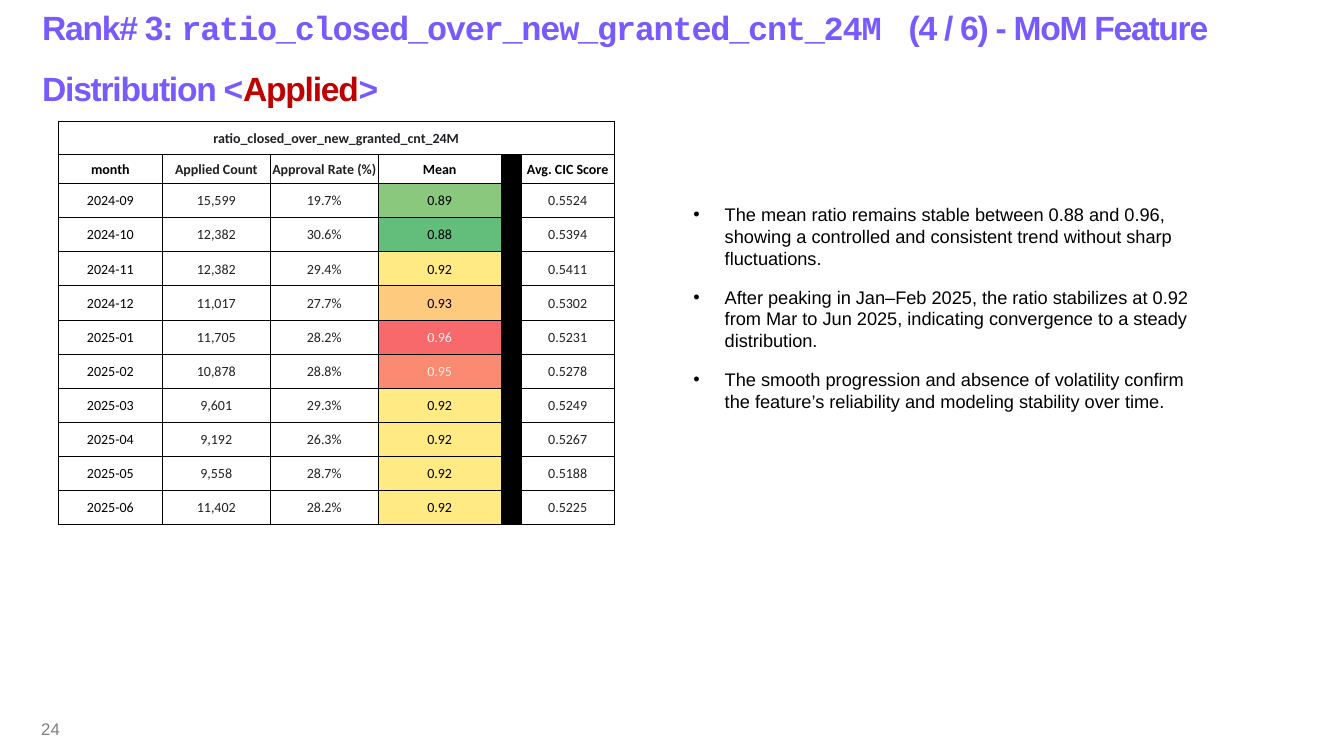
import pptx
import pptx.dml.color
import pptx.enum.text
import pptx.oxml
import pptx.oxml.ns
import pptx.util
from lxml import etree
from pptx.dml.color import RGBColor
from pptx.util import Cm

PURPLE = RGBColor(0x78, 0x5A, 0xFF)
RED = RGBColor(0xC0, 0x00, 0x00)
GREY = RGBColor(0x80, 0x80, 0x80)
BLACK = RGBColor(0x00, 0x00, 0x00)
CHARCOAL = RGBColor(0x20, 0x21, 0x24)
WHITE = RGBColor(0xFF, 0xFF, 0xFF)
PALE = RGBColor(0xF1, 0xF1, 0xF1)
MEAN_FILLS = {
    "0.88": RGBColor(0x63, 0xBE, 0x7B),
    "0.89": RGBColor(0x8A, 0xC9, 0x7D),
    "0.92": RGBColor(0xFF, 0xEA, 0x84),
    "0.93": RGBColor(0xFD, 0xCA, 0x7E),
    "0.95": RGBColor(0xFA, 0x8A, 0x71),
    "0.96": RGBColor(0xF8, 0x69, 0x6B),
}
PALE_TEXT_MEANS = ("0.95", "0.96")

FEATURE = "ratio_closed_over_new_granted_cnt_24M"
TITLE_RUNS = [
    ("Rank# 3: ", "Arial", PURPLE),
    (FEATURE + " ", "Courier New", PURPLE),
    (" (4 / 6) - MoM Feature Distribution <", "Arial", PURPLE),
    ("Applied", "Arial", RED),
    (">", "Arial", PURPLE),
]
HEADERS = ["month", "Applied Count", "Approval Rate (%)", "Mean", "", "Avg. CIC Score"]
MONTHS = [
    ("2024-09", "15,599", "19.7%", "0.89", "", "0.5524"),
    ("2024-10", "12,382", "30.6%", "0.88", "", "0.5394"),
    ("2024-11", "12,382", "29.4%", "0.92", "", "0.5411"),
    ("2024-12", "11,017", "27.7%", "0.93", "", "0.5302"),
    ("2025-01", "11,705", "28.2%", "0.96", "", "0.5231"),
    ("2025-02", "10,878", "28.8%", "0.95", "", "0.5278"),
    ("2025-03", "9,601", "29.3%", "0.92", "", "0.5249"),
    ("2025-04", "9,192", "26.3%", "0.92", "", "0.5267"),
    ("2025-05", "9,558", "28.7%", "0.92", "", "0.5188"),
    ("2025-06", "11,402", "28.2%", "0.92", "", "0.5225"),
]
COLUMN_WIDTHS = [2.62, 2.72, 2.72, 3.1, 0.51, 2.33]
ROW_HEIGHTS = [0.84, 0.72] + [0.86] * len(MONTHS)
MEAN_COLUMN, GAP_COLUMN, SCORE_COLUMN = 3, 4, 5
FINDINGS = [
    "The mean ratio remains stable between 0.88 and 0.96, showing a controlled "
    "and consistent trend without sharp fluctuations.",
    "After peaking in Jan–Feb 2025, the ratio stabilizes at 0.92 from Mar to Jun 2025, "
    "indicating convergence to a steady distribution.",
    "The smooth progression and absence of volatility confirm the feature’s "
    "reliability and modeling stability over time.",
]


def apply_format(target, values):
    """Set each named attribute of the target."""
    for name, value in values.items():
        setattr(target, name, value)


def place(shape, left, top, width, height):
    """Position a shape with lengths in centimetres."""
    apply_format(shape, {"left": Cm(left), "top": Cm(top), "width": Cm(width), "height": Cm(height)})


def add_run(paragraph, text, font_name, size, color, bold=False):
    """Append a formatted run and return it."""
    run = paragraph.add_run()
    run.text = text
    apply_format(run.font, {"name": font_name, "size": pptx.util.Pt(size), "bold": bold})
    run.font.color.rgb = color
    return run


def fill_title(title):
    """Write the slide title with its coloured runs."""
    place(title, 0.81, 0, 34.11, 2.39)
    apply_format(title.text_frame, {
        "auto_size": pptx.enum.text.MSO_AUTO_SIZE.NONE,
        "vertical_anchor": pptx.enum.text.MSO_ANCHOR.MIDDLE,
        "word_wrap": True,
    })
    paragraph = title.text_frame.paragraphs[0]
    apply_format(paragraph, {"alignment": pptx.enum.text.PP_ALIGN.LEFT, "line_spacing": 1.5})
    for text, font_name, color in TITLE_RUNS:
        run = add_run(paragraph, text, font_name, 24, color, bold=True)
        run.font._element.set("spc", "-90")


def fill_findings(body):
    """Write the bulleted findings."""
    place(body, 17.22, 5, 13.13, 5.56)
    frame = body.text_frame
    apply_format(frame, {
        "auto_size": pptx.enum.text.MSO_AUTO_SIZE.SHAPE_TO_FIT_TEXT,
        "vertical_anchor": pptx.enum.text.MSO_ANCHOR.TOP,
        "word_wrap": True,
    })
    for index, finding in enumerate(FINDINGS):
        paragraph = frame.add_paragraph() if index else frame.paragraphs[0]
        properties = paragraph._p.get_or_add_pPr()
        properties.set("marL", str(Cm(0.79)))
        properties.set("indent", str(-Cm(0.79)))
        etree.SubElement(properties, pptx.oxml.ns.qn("a:buFont"), typeface="Arial")
        etree.SubElement(properties, pptx.oxml.ns.qn("a:buChar"), char="•")
        apply_format(paragraph, {
            "alignment": pptx.enum.text.PP_ALIGN.LEFT,
            "space_before": pptx.util.Pt(0),
            "space_after": pptx.util.Pt(12),
        })
        add_run(paragraph, finding, "Arial", 13, BLACK)


def add_borders(cell):
    """Draw thin black lines on all sides of a cell."""
    properties = cell._tc.get_or_add_tcPr()
    for side in ("lnL", "lnR", "lnT", "lnB"):
        line = etree.SubElement(properties, pptx.oxml.ns.qn("a:" + side), w=str(pptx.util.Pt(0.5)))
        fill = etree.SubElement(line, pptx.oxml.ns.qn("a:solidFill"))
        etree.SubElement(fill, pptx.oxml.ns.qn("a:srgbClr"), val=str(BLACK))


def format_cell(cell, text, fill, color, bold):
    """Write and format one table cell."""
    apply_format(cell, {
        "margin_left": Cm(0.03), "margin_right": Cm(0.03),
        "margin_top": Cm(0.03), "margin_bottom": Cm(0),
        "vertical_anchor": pptx.enum.text.MSO_ANCHOR.MIDDLE,
    })
    add_borders(cell)
    cell.fill.solid()
    cell.fill.fore_color.rgb = fill
    paragraph = cell.text_frame.paragraphs[0]
    paragraph.alignment = pptx.enum.text.PP_ALIGN.CENTER
    if text:
        add_run(paragraph, text, "Calibri", 10, color, bold)
    else:
        etree.SubElement(paragraph._p, pptx.oxml.ns.qn("a:endParaRPr"), sz="1000")


def cell_colors(row, column, text):
    """Return the fill and text colours of a cell."""
    if row == 0:
        return WHITE, CHARCOAL
    if column == GAP_COLUMN:
        return BLACK, BLACK
    if column == MEAN_COLUMN:
        return MEAN_FILLS.get(text, WHITE), PALE if text in PALE_TEXT_MEANS else BLACK
    if column == 0 or (row == 1 and column == SCORE_COLUMN):
        return WHITE, BLACK
    return WHITE, CHARCOAL


def add_month_table(slide):
    """Add the monthly distribution table."""
    rows = [[FEATURE] + [""] * (len(HEADERS) - 1), HEADERS, *MONTHS]
    table = slide.shapes.add_table(
        len(rows), len(HEADERS), Cm(1.47), Cm(3.06), Cm(sum(COLUMN_WIDTHS)), Cm(sum(ROW_HEIGHTS))
    ).table
    apply_format(table, {"first_row": False, "horz_banding": False})
    for column, width in zip(table.columns, COLUMN_WIDTHS):
        column.width = Cm(width)
    for row, height in zip(table.rows, ROW_HEIGHTS):
        row.height = Cm(height)
    for row, texts in enumerate(rows):
        for column, text in enumerate(texts):
            fill, color = cell_colors(row, column, text)
            format_cell(table.cell(row, column), text, fill, color, bold=row < 2)
    table.cell(0, 0).merge(table.cell(0, len(HEADERS) - 1))


def add_page_number(slide):
    """Add the page number at the lower left."""
    frame = slide.shapes.add_textbox(Cm(0.79), Cm(17.86), Cm(7.62), Cm(1.02)).text_frame
    apply_format(frame, {"word_wrap": True, "vertical_anchor": pptx.enum.text.MSO_ANCHOR.MIDDLE})
    paragraph = frame.paragraphs[0]
    paragraph.space_after = pptx.util.Pt(6)
    add_run(paragraph, "24", "Arial", 12, GREY)


def main():
    """Build and save the presentation."""
    presentation = pptx.Presentation()
    apply_format(presentation, {"slide_width": Cm(33.87), "slide_height": Cm(19.05)})
    slide = presentation.slides.add_slide(presentation.slide_layouts[1])
    fill_title(slide.shapes.title)
    add_page_number(slide)
    add_month_table(slide)
    fill_findings(slide.placeholders[1])
    presentation.save("out.pptx")


if __name__ == "__main__":
    main()
